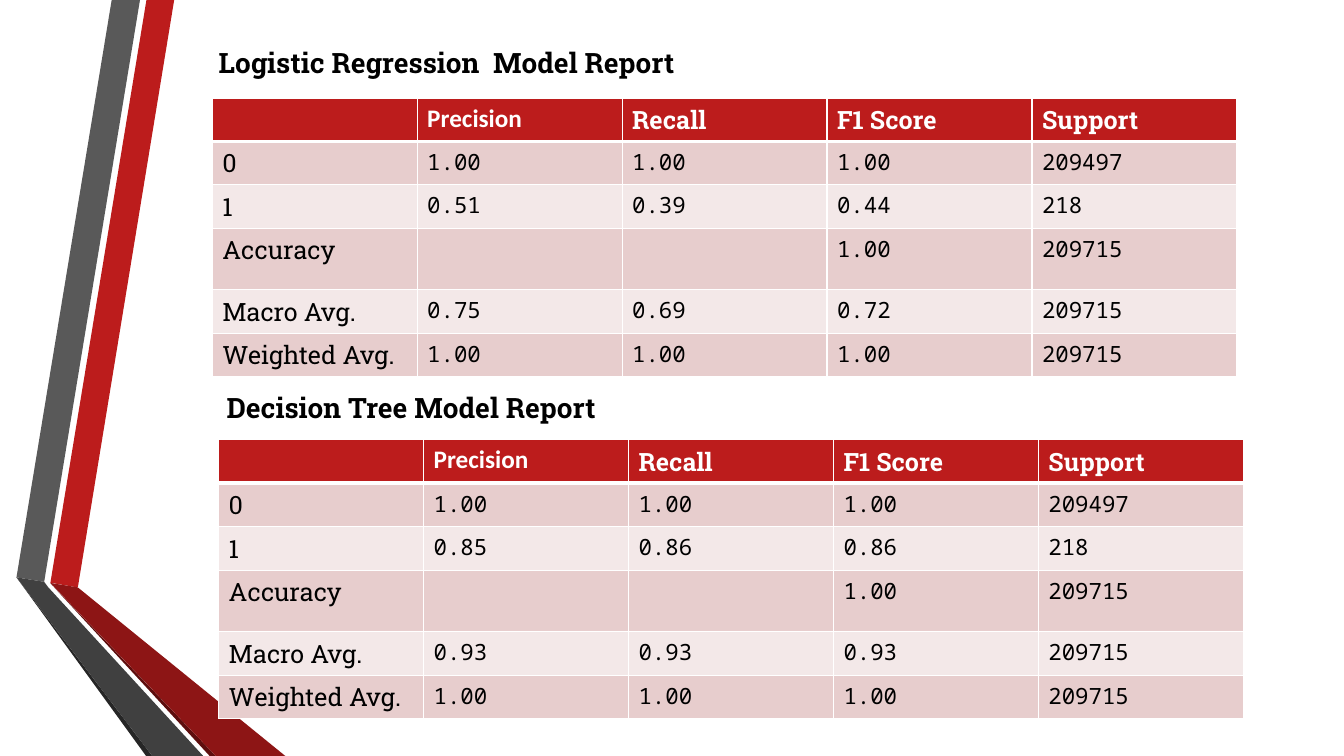
from dataclasses import dataclass

from lxml import etree
from pptx import Presentation
from pptx.dml.color import RGBColor
from pptx.oxml.ns import qn
from pptx.util import Pt


@dataclass(frozen=True)
class Theme:
    red: str = "BC1C1C"
    dark_red: str = "8D1515"
    deep_red: str = "5E0E0E"
    gray: str = "595959"
    dark_gray: str = "404040"
    deep_gray: str = "262626"
    band: str = "E7CDCD"
    light_band: str = "F3E8E8"
    white: str = "FFFFFF"
    black: str = "000000"
    slab: str = "Roboto Slab"
    sans: str = "Calibri"
    mono: str = "Noto Sans Mono"
    title_size: int = 20
    label_size: int = 18
    value_size: int = 16
    rule: int = 1
    header_rule: int = 3


THEME = Theme()

RIBBONS = [
    (THEME.red, [(36, 416.2), (55.6, 419.6), (124.4, 0), (104.6, 0)]),
    (THEME.gray, [(100, 0), (79.8, 0), (11.8, 412.4), (31.6, 415.6)]),
    (THEME.deep_gray, [(11.8, 412.4), (104.4, 540), (108.8, 540)]),
    (THEME.deep_red, [(36, 416.6), (149.8, 540), (154.2, 540)]),
    (THEME.dark_red, [(36, 416.4), (154.2, 540), (203.8, 540), (55.6, 419.6)]),
    (THEME.dark_gray, [(145.2, 540), (34.6, 419.6), (31.6, 415.6),
                       (11.8, 412.4), (108.8, 540)]),
]

COLUMN_WIDTH = 146.4
ROW_HEIGHT = 30.8
ACCURACY_HEIGHT = 44
HEADER = ["", "Precision", "Recall", "F1 Score", "Support"]


def report_rows(class_1_scores, macro_scores):
    """Both reports share everything but the scores of class 1 and the macro average."""
    perfect = ["1.00"] * 3
    return [
        HEADER,
        ["0", *perfect, "209497"],
        ["1", *class_1_scores, "218"],
        ["Accuracy", "", "", "1.00", "209715"],
        ["Macro Avg.", *macro_scores, "209715"],
        ["Weighted Avg.", *perfect, "209715"],
    ]


LOGISTIC_ROWS = report_rows(["0.51", "0.39", "0.44"], ["0.75", "0.69", "0.72"])
TREE_ROWS = report_rows(["0.85", "0.86", "0.86"], ["0.93", "0.93", "0.93"])


def add_ribbon(slide, color, corners):
    points = [(Pt(x), Pt(y)) for x, y in corners]
    builder = slide.shapes.build_freeform(*points[0], scale=1.0)
    builder.add_line_segments(points[1:], close=True)
    ribbon = builder.convert_to_shape()
    ribbon.shadow.inherit = False
    ribbon.fill.solid()
    ribbon.fill.fore_color.rgb = RGBColor.from_string(color)
    ribbon.line.fill.background()


def write(paragraph, text, color, **font_values):
    run = paragraph.add_run()
    run.text = text
    for key, value in font_values.items():
        setattr(run.font, key, value)
    run.font.color.rgb = RGBColor.from_string(color)


def add_title(slide, text, left, top):
    box = slide.shapes.add_textbox(Pt(left), Pt(top), Pt(424), Pt(31.6))
    box.text_frame.word_wrap = True
    write(box.text_frame.paragraphs[0], text, THEME.black,
          name=THEME.slab, size=Pt(THEME.title_size), bold=True)


def set_borders(cell, top, bottom):
    properties = cell._tc.get_or_add_tcPr()
    widths = {"a:lnL": THEME.rule, "a:lnR": THEME.rule, "a:lnT": top, "a:lnB": bottom}
    for position, (tag, width) in enumerate(widths.items()):
        line = etree.Element(qn(tag), w=str(Pt(width)))
        fill = etree.SubElement(line, qn("a:solidFill"))
        etree.SubElement(fill, qn("a:srgbClr"), val=THEME.white)
        properties.insert(position, line)


def cell_font(row, column):
    if row == 0:
        name = THEME.sans if column == 1 else THEME.slab
        return {"name": name, "size": Pt(THEME.label_size), "bold": True}
    if column == 0:
        return {"name": THEME.slab, "size": Pt(THEME.label_size), "bold": False}
    return {"name": THEME.mono, "size": Pt(THEME.value_size), "bold": False}


def row_fill(row):
    if row == 0:
        return THEME.red
    return THEME.band if row % 2 else THEME.light_band


def add_report(slide, rows, left, top):
    heights = [ACCURACY_HEIGHT if cells[0] == "Accuracy" else ROW_HEIGHT for cells in rows]
    table = slide.shapes.add_table(
        len(rows), len(HEADER), Pt(left), Pt(top),
        Pt(COLUMN_WIDTH * len(HEADER)), Pt(sum(heights))).table
    for column in table.columns:
        column.width = Pt(COLUMN_WIDTH)
    for r, cells in enumerate(rows):
        table.rows[r].height = Pt(heights[r])
        for c, text in enumerate(cells):
            cell = table.cell(r, c)
            cell.fill.solid()
            cell.fill.fore_color.rgb = RGBColor.from_string(row_fill(r))
            set_borders(cell,
                        top=THEME.header_rule if r == 1 else THEME.rule,
                        bottom=THEME.header_rule if r == 0 else THEME.rule)
            if text:
                color = THEME.black if r else THEME.white
                write(cell.text_frame.paragraphs[0], text, color, **cell_font(r, c))


def main():
    presentation = Presentation()
    presentation.slide_width = Pt(960)
    presentation.slide_height = Pt(540)
    slide = presentation.slides.add_slide(presentation.slide_layouts[6])
    for color, corners in RIBBONS:
        add_ribbon(slide, color, corners)
    add_report(slide, TREE_ROWS, 156.2, 314.2)
    add_report(slide, LOGISTIC_ROWS, 151.6, 70)
    add_title(slide, "Logistic Regression  Model Report", 149.2, 28.8)
    add_title(slide, "Decision Tree Model Report", 154.8, 275.2)
    presentation.save("out.pptx")


if __name__ == "__main__":
    main()
